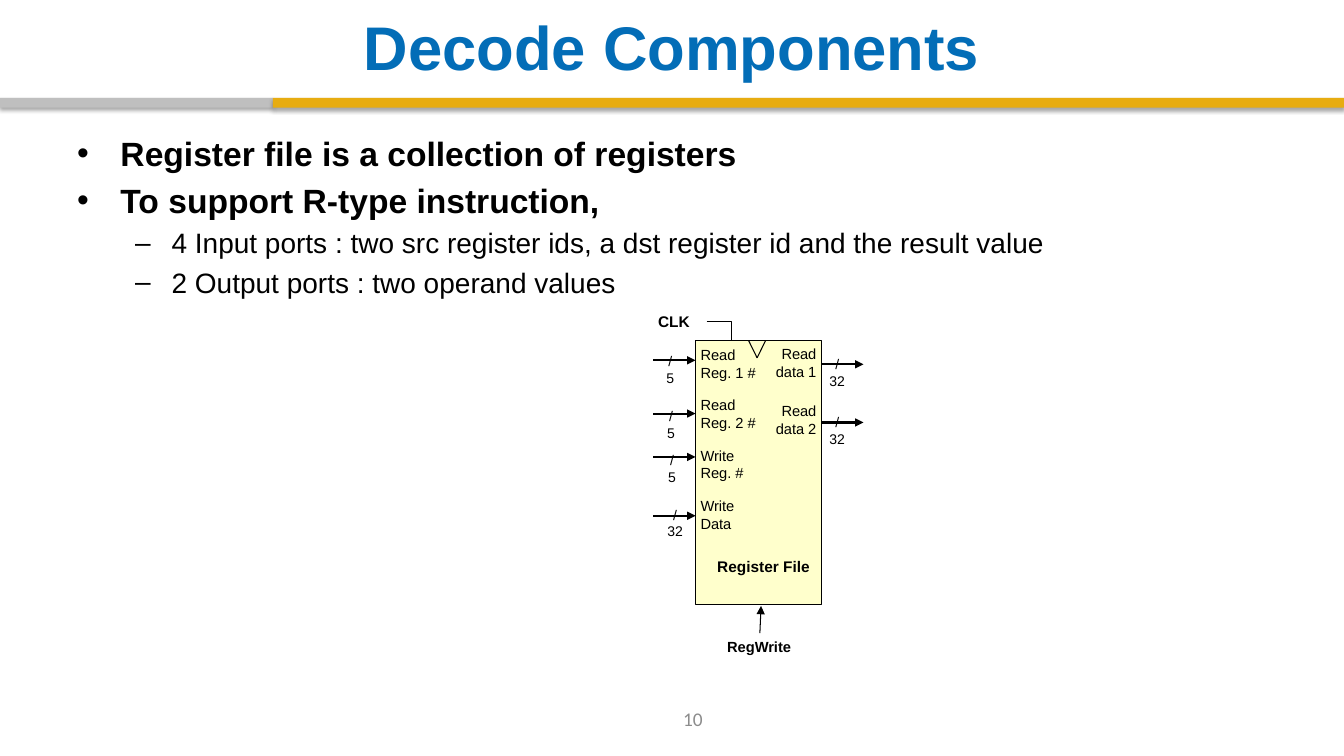
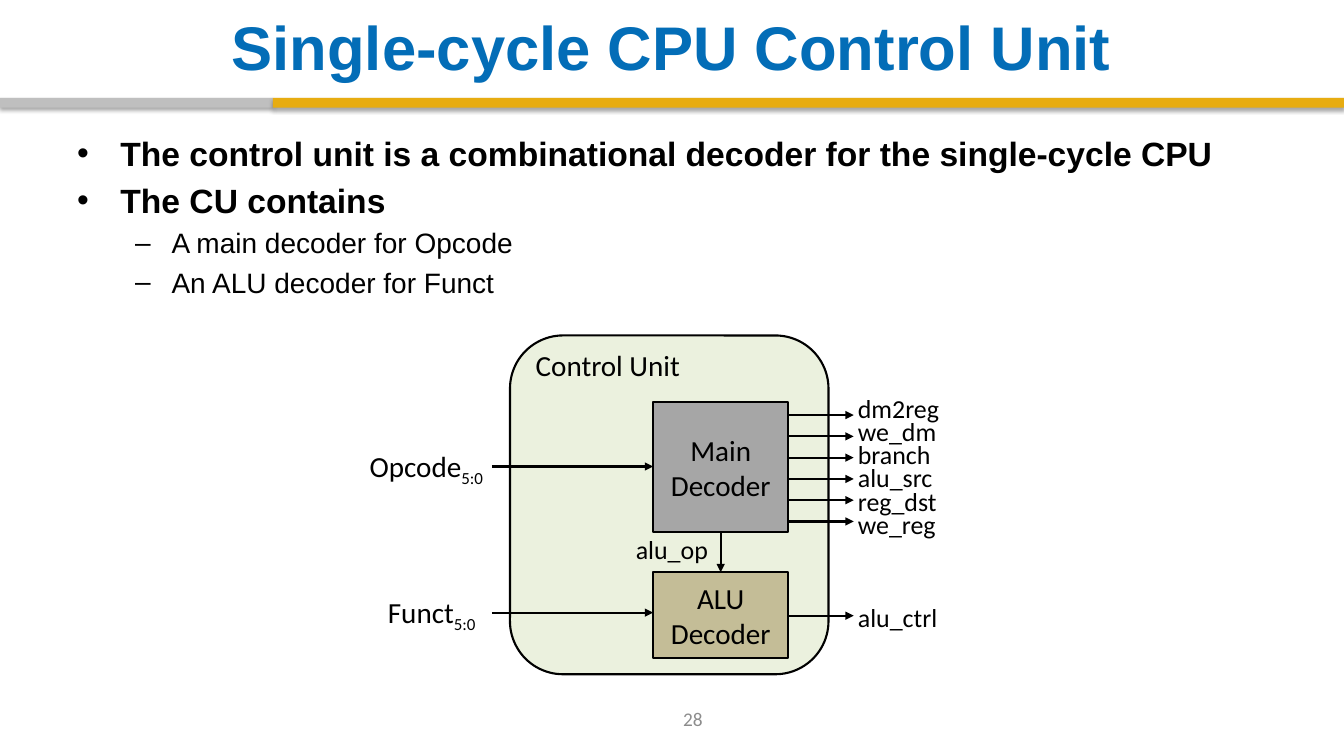
from dataclasses import dataclass

from lxml.etree import SubElement
from pptx import Presentation
from pptx.dml.color import RGBColor
from pptx.enum.shapes import MSO_CONNECTOR, MSO_SHAPE
from pptx.enum.text import MSO_ANCHOR, MSO_AUTO_SIZE, PP_ALIGN
from pptx.oxml.ns import qn
from pptx.util import Pt


@dataclass(frozen=True)
class Theme:
    blue: str = "036DB7"
    gold: str = "E7AC11"
    silver: str = "BFBFBF"
    gray: str = "8C8C8C"
    black: str = "000000"
    yellow: str = "FFFFCC"
    green: str = "EBF1DE"
    main_fill: str = "A6A6A6"
    alu_fill: str = "C4BD97"
    heading: str = "Arial"
    diagram: str = "Calibri"
    title: float = 44
    bullet: float = 24
    sub_bullet: float = 20
    port: float = 10.5
    caption: float = 11
    bus: float = 10
    block: float = 20.8
    signal: float = 18.5
    number: float = 13.8
    thin: float = 0.75
    thick: float = 1.5


T = Theme()


# Shared drawing helpers
def rgb(color):
    return RGBColor.from_string(color)


def style_font(font, size, name=T.heading, color=T.black, bold=False):
    font.size, font.name, font.bold = Pt(size), name, bold
    font.color.rgb = rgb(color)


def write(tf, text, size, align=PP_ALIGN.LEFT, anchor=MSO_ANCHOR.TOP,
          inset=(7.2, 3.6), sub=None, **font):
    """Fill a text frame; a line feed starts a paragraph, sub is a subscript."""
    tf.word_wrap, tf.auto_size = True, MSO_AUTO_SIZE.NONE
    tf.vertical_anchor = anchor
    tf.margin_left = tf.margin_right = Pt(inset[0])
    tf.margin_top = tf.margin_bottom = Pt(inset[1])
    for i, line in enumerate(text.split("\n")):
        p = tf.paragraphs[0] if i == 0 else tf.add_paragraph()
        p.alignment = align
        r = p.add_run()
        r.text = line
        style_font(r.font, size, **font)
    if sub:
        r = p.add_run()
        r.text = sub
        style_font(r.font, size, **font)
        r.font._element.set("baseline", "-25000")


def add_text(slide, text, x, y, w, h, **fmt):
    sp = slide.shapes.add_textbox(Pt(x), Pt(y), Pt(w), Pt(h))
    write(sp.text_frame, text, **fmt)


def add_box(slide, x, y, w, h, fill, line=None, kind=MSO_SHAPE.RECTANGLE):
    sp = slide.shapes.add_shape(kind, Pt(x), Pt(y), Pt(w), Pt(h))
    sp.shadow.inherit = False
    sp.fill.solid()
    sp.fill.fore_color.rgb = rgb(fill)
    if line:
        sp.line.color.rgb = rgb(T.black)
        sp.line.width = Pt(line)
    else:
        sp.line.fill.background()
    return sp


def add_line(slide, x1, y1, x2, y2, width=T.thick, arrow=True,
             kind=MSO_CONNECTOR.STRAIGHT):
    c = slide.shapes.add_connector(kind, Pt(x1), Pt(y1), Pt(x2), Pt(y2))
    c.line.color.rgb = rgb(T.black)
    c.line.width = Pt(width)
    if arrow:
        SubElement(c.line._get_or_add_ln(), qn("a:tailEnd"), type="triangle")
    SubElement(c._element.spPr, qn("a:effectLst"))


def add_band(slide, x, w, fill):
    sp = add_box(slide, x, 70, w, 7, fill)
    effects = sp._element.spPr.find(qn("a:effectLst"))
    shadow = SubElement(effects, qn("a:outerShdw"), blurRad=str(Pt(3.1)),
                        dist=str(Pt(1.8)), dir="5400000", rotWithShape="0")
    color = SubElement(shadow, qn("a:srgbClr"), val=T.black)
    SubElement(color, qn("a:alpha"), val="35000")


# Frame of every slide: title, bands, slide number
def add_frame(prs, title, number):
    slide = prs.slides.add_slide(prs.slide_layouts[5])
    add_band(slide, 0, 195, T.silver)
    add_band(slide, 195, 765, T.gold)
    sp = slide.shapes.title
    sp.left, sp.top, sp.width, sp.height = Pt(48), Pt(5.4), Pt(864), Pt(54.6)
    write(sp.text_frame, title, size=T.title, color=T.blue, bold=True,
          align=PP_ALIGN.CENTER, anchor=MSO_ANCHOR.MIDDLE)
    add_text(slide, number, 383, 499, 224, 29, size=T.number, name=T.diagram,
             color=T.gray, align=PP_ALIGN.CENTER, anchor=MSO_ANCHOR.MIDDLE)
    return slide


# Bullet list: (level, text) items
def add_bullets(slide, items, x=48, y=91.4, w=864, h=130):
    sp = slide.shapes.add_textbox(Pt(x), Pt(y), Pt(w), Pt(h))
    tf = sp.text_frame
    tf.word_wrap = True
    levels = [("•", 31, 31, T.bullet), ("–", 67.5, 26, T.sub_bullet)]
    for i, (level, text) in enumerate(items):
        mark, left, hang, size = levels[level]
        p = tf.paragraphs[0] if i == 0 else tf.add_paragraph()
        p.level = level
        pPr = p._p.get_or_add_pPr()
        pPr.set("marL", str(Pt(left)))
        pPr.set("indent", str(-Pt(hang)))
        if i:
            p.space_before = Pt(size * 0.2)
        SubElement(pPr, qn("a:buFont"), typeface=T.heading)
        SubElement(pPr, qn("a:buChar"), char=mark)
        r = p.add_run()
        r.text = text
        style_font(r.font, size, bold=level == 0)


# Register file with its ports; x, y is the corner of the block
def add_register_file(slide, x, y, w=90, h=188.6):
    wire = 30
    port = dict(size=T.port, inset=(3.6, 3.6))
    caption = dict(size=T.caption, bold=True)
    center = PP_ALIGN.CENTER
    add_box(slide, x, y, w, h, T.yellow, T.thin)

    def add_bus(start, wire_y, width, bus_x, bus_y):
        add_line(slide, x + start, y + wire_y, x + start + wire, y + wire_y)
        add_text(slide, f"/\n{width}", x + bus_x, y + bus_y, 24, 32,
                 size=T.bus, align=center, inset=(2.2, 3.6))

    # Input ports: label, wire height, bus width, bus label place
    inputs = [("Read\nReg. 1 #", 14, 5, -30, 5),
              ("Read\nReg. 2 #", 52, 5, -29.5, 44),
              ("Write\nReg. #", 83, 5, -28.8, 75.6),
              ("Write\nData", 125, 32, -26.6, 114.5)]
    for i, (label, wire_y, width, bus_x, bus_y) in enumerate(inputs):
        add_text(slide, label, x, y + 36 * i, 60, 32, **port)
        add_bus(-wire, wire_y, width, bus_x, bus_y)

    # Output ports
    outputs = [("Read\ndata 1", 16.8), ("Read\ndata 2", 58.4)]
    for i, (label, wire_y) in enumerate(outputs):
        add_text(slide, label, x + w - 42, y - 0.7 + 41 * i, 42, 32,
                 align=PP_ALIGN.RIGHT, **port)
        add_bus(w, wire_y, 32, w - 0.8, wire_y - 9.8)
    add_text(slide, "Register File", x + 3.6, y + 151.2, w, 21,
             align=center, **caption)

    # Write enable
    add_text(slide, "RegWrite", x + 15, y + 208.8, 61, 20, bold=True,
             align=center, **port)
    add_line(slide, x + 46, y + 208.8, x + 46.8, y + h + 0.8, T.thin)

    # Clock
    add_text(slide, "CLK", x - 33.8, y - 23.8, 42, 21, **caption)
    add_line(slide, x + 8, y - 13.7, x + 43.5, y, T.thin, False,
             MSO_CONNECTOR.ELBOW)
    for edge in (38, 50):
        add_line(slide, x + edge, y, x + 44, y + 12.2, T.thin, False)


# Control unit with its decoders; x, y is the corner of the outer block
def add_control_unit(slide, x, y, w=227.5, h=242):
    block = dict(size=T.block, name=T.diagram)
    signal = dict(size=T.signal, name=T.diagram)
    left, width = 102.2, 96.6
    right, tip = left + width, 245.5
    add_box(slide, x, y, w, h, T.green, T.thick, MSO_SHAPE.ROUNDED_RECTANGLE)
    add_text(slide, "Control Unit", x + 11.3, y + 4.8, 140, 32, **block)

    # Decoders with their inputs: name, top, height, fill, input, its place
    decoders = [
        ("Main Decoder", 47.5, 93, T.main_fill, "Opcode", -107.3, 93.6),
        ("ALU\nDecoder", 169.2, 61.2, T.alu_fill, "Funct", -94.3, 198)]
    for name, top, height, fill, source, source_x, wire_y in decoders:
        sp = add_box(slide, x + left, y + top, width, height, fill, T.thick)
        write(sp.text_frame, name, align=PP_ALIGN.CENTER,
              anchor=MSO_ANCHOR.MIDDLE, **block)
        add_line(slide, x - 13, y + wire_y, x + left, y + wire_y)
        add_text(slide, source, x + source_x, y + wire_y - 16.6, 105, 32,
                 sub="5:0", **block)

    # Control signals: name, wire height, label top
    names = ["dm2reg", "we_dm", "branch", "alu_src", "reg_dst", "we_reg"]
    signals = [(name, 56.9 + 15.2 * i, 37.4 + 16.5 * i)
               for i, name in enumerate(names)]
    signals.append(("alu_ctrl", 200.2, 186.5))
    for name, wire_y, label_y in signals:
        add_line(slide, x + right, y + wire_y, x + tip, y + wire_y)
        add_text(slide, name, x + 241.4, y + label_y, 85, 30, **signal)

    # Link between the decoders
    middle = x + left + width / 2
    add_line(slide, middle, y + 140.5, middle, y + 169.2)
    add_text(slide, "alu_op", x + 82.8, y + 138.2, 72, 30, **signal)


def main():
    prs = Presentation()
    prs.slide_width, prs.slide_height = Pt(960), Pt(540)

    slide = add_frame(prs, "Decode Components", "10")
    add_bullets(slide, [
        (0, "Register file is a collection of registers"),
        (0, "To support R-type instruction,"),
        (1, "4 Input ports : two src register ids, a dst register id "
            "and the result value"),
        (1, "2 Output ports : two operand values")])
    add_register_file(slide, 496.8, 243.4)

    slide = add_frame(prs, "Single-cycle CPU Control Unit", "28")
    add_bullets(slide, [
        (0, "The control unit is a combinational decoder for the "
            "single-cycle CPU"),
        (0, "The CU contains"),
        (1, "A main decoder for Opcode"),
        (1, "An ALU decoder for Funct")])
    add_control_unit(slide, 364.3, 239.6)

    prs.save("out.pptx")


if __name__ == "__main__":
    main()
